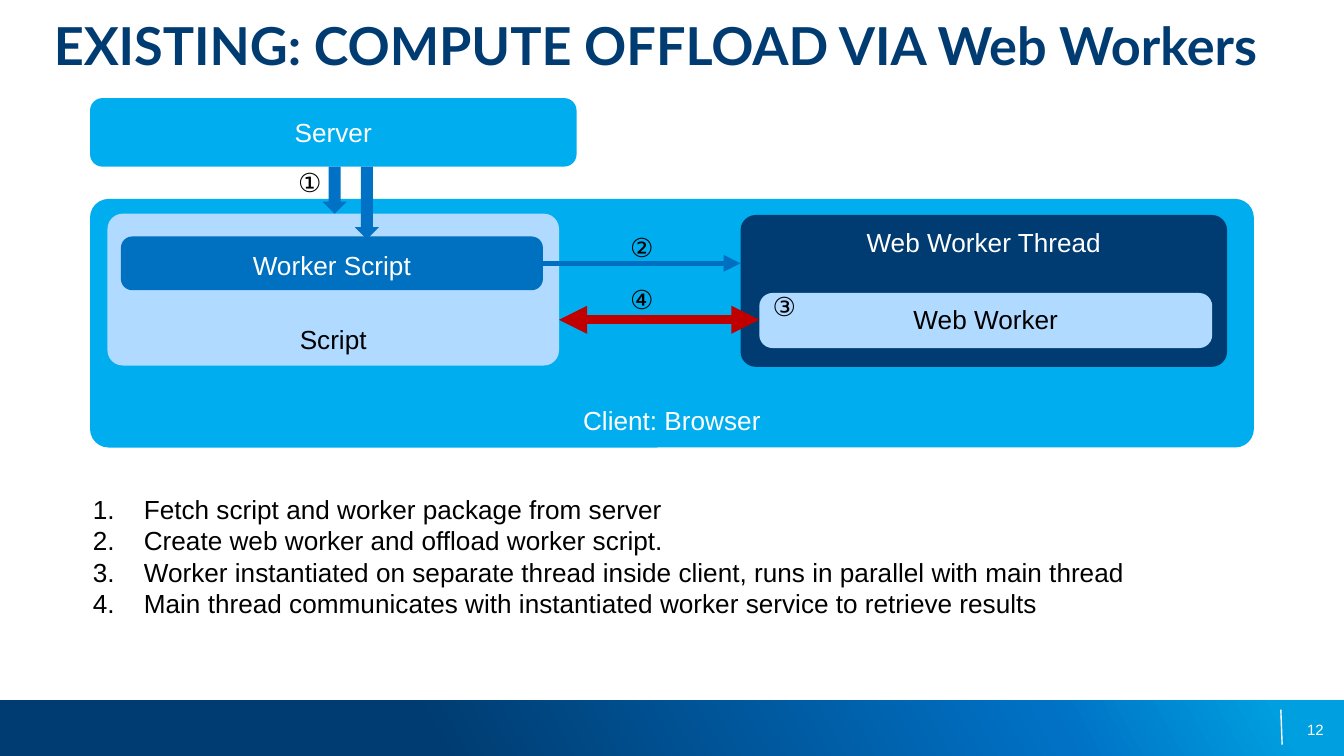
"""Build the slide on compute offload through web workers."""
import pptx
import pptx.util
import pptx.dml.color
import pptx.enum.shapes
import pptx.enum.text
import pptx.oxml.ns
import lxml.etree

RGB = pptx.dml.color.RGBColor
SHAPE = pptx.enum.shapes.MSO_SHAPE
ANCHOR = pptx.enum.text.MSO_ANCHOR
ALIGN = pptx.enum.text.PP_ALIGN
qn = pptx.oxml.ns.qn

PX = 9144
WHITE = RGB(0xFF, 0xFF, 0xFF)
BLACK = RGB(0, 0, 0)
NAVY = RGB(0x00, 0x3C, 0x71)
CYAN = RGB(0x00, 0xAE, 0xEF)
PALE = RGB(0xB0, 0xDA, 0xFF)
BLUE = RGB(0x00, 0x70, 0xC0)
ARROW_BLUE = RGB(0x00, 0x71, 0xC5)
LINK_BLUE = RGB(0x00, 0x6F, 0xC1)
SKY = RGB(0x00, 0x9F, 0xDF)
RED = RGB(0xC0, 0x00, 0x00)

BAND_STOPS = [(0, NAVY), (32, NAVY), (78, ARROW_BLUE), (95, SKY), (100, SKY)]
BOXES = [
    ("Client: Browser", (67, 148, 866, 185), 0.075, CYAN, WHITE, ANCHOR.BOTTOM),
    ("Web Worker Thread", (551, 160, 362, 113), 0.1, NAVY, WHITE, ANCHOR.TOP),
    ("Web Worker", (565, 218, 337, 41), 0.24, PALE, BLACK, ANCHOR.TOP),
    ("Server", (67, 73, 362, 51), 0.18, CYAN, WHITE, ANCHOR.MIDDLE),
    ("Script", (80, 159, 336, 113), 0.1, PALE, BLACK, ANCHOR.BOTTOM),
    ("Worker Script", (90, 176, 314, 40), 0.21, BLUE, WHITE, ANCHOR.BOTTOM),
]
DOWN_ARROWS = [(240, 124, 18, 35), (264, 124, 18, 54)]
MARKERS = [("①", 212, 119, 38), ("③", 565, 211, 38),
           ("②", 459, 167, 38), ("④", 459, 206, 68)]
STEPS = [
    "Fetch script and worker package from server",
    "Create web worker and offload worker script.",
    "Worker instantiated on separate thread inside client, runs in parallel with main thread",
    "Main thread communicates with instantiated worker service to retrieve results",
]


def px(*values):
    """Turn px lengths into EMU."""
    return [pptx.util.Emu(v * PX) for v in values]


def apply(obj, formats):
    """Set each attribute named in a dict of format values."""
    for name, value in formats.items():
        setattr(obj, name, value)


def format_font(p, color, size=14, name="Arial", bold=False):
    """Format the font of a paragraph's runs."""
    for r in p.runs:
        apply(r.font, {"name": name, "size": pptx.util.Pt(size), "bold": bold})
        r.font.color.rgb = color


def add_shape(s, kind, at, color):
    """Add a filled preset shape with no outline or shadow."""
    sp = s.shapes.add_shape(kind, *px(*at))
    sp.shadow.inherit = False
    sp.line.fill.background()
    sp.fill.solid()
    sp.fill.fore_color.rgb = color
    return sp


def add_box(s, text, at, adj, fill, color, anchor):
    """Add a rounded box with a centred label."""
    sp = add_shape(s, SHAPE.ROUNDED_RECTANGLE, at, fill)
    sp.adjustments[0] = adj
    tf = sp.text_frame
    apply(tf, {"text": text, "vertical_anchor": anchor})
    p = tf.paragraphs[0]
    p.alignment = ALIGN.CENTER
    format_font(p, color)


def add_label(s, text, at, color, size=14, **formats):
    """Add a one-line text box."""
    tf = s.shapes.add_textbox(*px(*at)).text_frame
    apply(tf, {"text": text, "word_wrap": True, **formats})
    p = tf.paragraphs[0]
    format_font(p, color, size)
    return p


def add_link(s, ends, color, width, heads=(), kind="ELBOW"):
    """Add a connector with triangles at the given ends."""
    kind = getattr(pptx.enum.shapes.MSO_CONNECTOR, kind)
    cx = s.shapes.add_connector(kind, *px(*ends))
    cx.line.color.rgb = color
    cx.line.width = pptx.util.Pt(width)
    ln = cx.line._get_or_add_ln()
    for end in heads:
        lxml.etree.SubElement(ln, qn(f"a:{end}"), type="triangle")
    lxml.etree.SubElement(cx._element.spPr, qn("a:effectLst"))


def add_footer(s):
    """Add the gradient band, its divider and the slide number."""
    sp = add_shape(s, SHAPE.RECTANGLE, (0, 521, 1000, 42), NAVY)
    sp.fill.gradient()
    sp.fill.gradient_angle = 29
    stops = sp._element.spPr.find(".//" + qn("a:gsLst"))
    for stop in list(stops):
        stops.remove(stop)
    for pos, color in BAND_STOPS:
        stop = lxml.etree.SubElement(stops, qn("a:gs"), pos=str(pos * 1000))
        lxml.etree.SubElement(stop, qn("a:srgbClr"), val=str(color))
    add_link(s, (953, 528, 954, 554), WHITE, 0.75, kind="STRAIGHT")
    margins = dict.fromkeys(
        ("margin_left", "margin_top", "margin_right", "margin_bottom"), 0)
    p = add_label(s, "12", (752, 528, 233, 30), WHITE, 8, **margins,
                  vertical_anchor=ANCHOR.MIDDLE)
    p.alignment = ALIGN.RIGHT


def place(sp, at, **formats):
    """Move a placeholder and format its text frame."""
    apply(sp, dict(zip(("left", "top", "width", "height"), px(*at))))
    apply(sp.text_frame, {"vertical_anchor": ANCHOR.TOP,
                          "auto_size": pptx.enum.text.MSO_AUTO_SIZE.NONE, **formats})
    return sp.text_frame


def fill_title(s, text):
    """Fill the title placeholder."""
    inset = px(10)[0]
    tf = place(s.shapes.title, (30, 0, 934, 61), text=text,
               margin_top=inset, margin_bottom=inset)
    p = tf.paragraphs[0]
    p.alignment = ALIGN.LEFT
    format_font(p, NAVY, 28, "Lato", True)


def fill_steps(s, steps):
    """Fill the body placeholder with a numbered list."""
    tf = place(s.placeholders[1], (59, 362, 791, 104),
               text="\n".join(steps), word_wrap=False)
    for p in tf.paragraphs:
        pPr = p._p.get_or_add_pPr()
        pPr.set("marL", str(38 * PX))
        pPr.set("indent", str(-38 * PX))
        apply(p, {"space_before": pptx.util.Pt(0), "alignment": ALIGN.LEFT})
        clr = lxml.etree.SubElement(pPr, qn("a:buClr"))
        lxml.etree.SubElement(clr, qn("a:srgbClr"), val=str(BLACK))
        lxml.etree.SubElement(pPr, qn("a:buFont"), typeface="+mj-lt")
        lxml.etree.SubElement(pPr, qn("a:buAutoNum"), type="arabicPeriod")
        format_font(p, BLACK)


def main():
    """Build and save the slide."""
    prs = pptx.Presentation()
    prs.slide_width = px(1000)[0]
    prs.slide_height = prs.slide_width * 9 // 16
    s = prs.slides.add_slide(prs.slide_layouts[1])
    fill_title(s, "EXISTING: COMPUTE OFFLOAD VIA Web Workers")
    fill_steps(s, STEPS)
    add_footer(s)
    for box in BOXES:
        add_box(s, *box)
    for at in DOWN_ARROWS:
        add_shape(s, SHAPE.DOWN_ARROW, at, ARROW_BLUE)
    add_link(s, (404, 196, 551, 196), LINK_BLUE, 3, ["tailEnd"])
    add_link(s, (416, 238, 565, 238), RED, 5, ["headEnd", "tailEnd"])
    for text, left, top, width in MARKERS:
        add_label(s, text, (left, top, width, 34), BLACK)
    prs.save("out.pptx")


if __name__ == "__main__":
    main()
